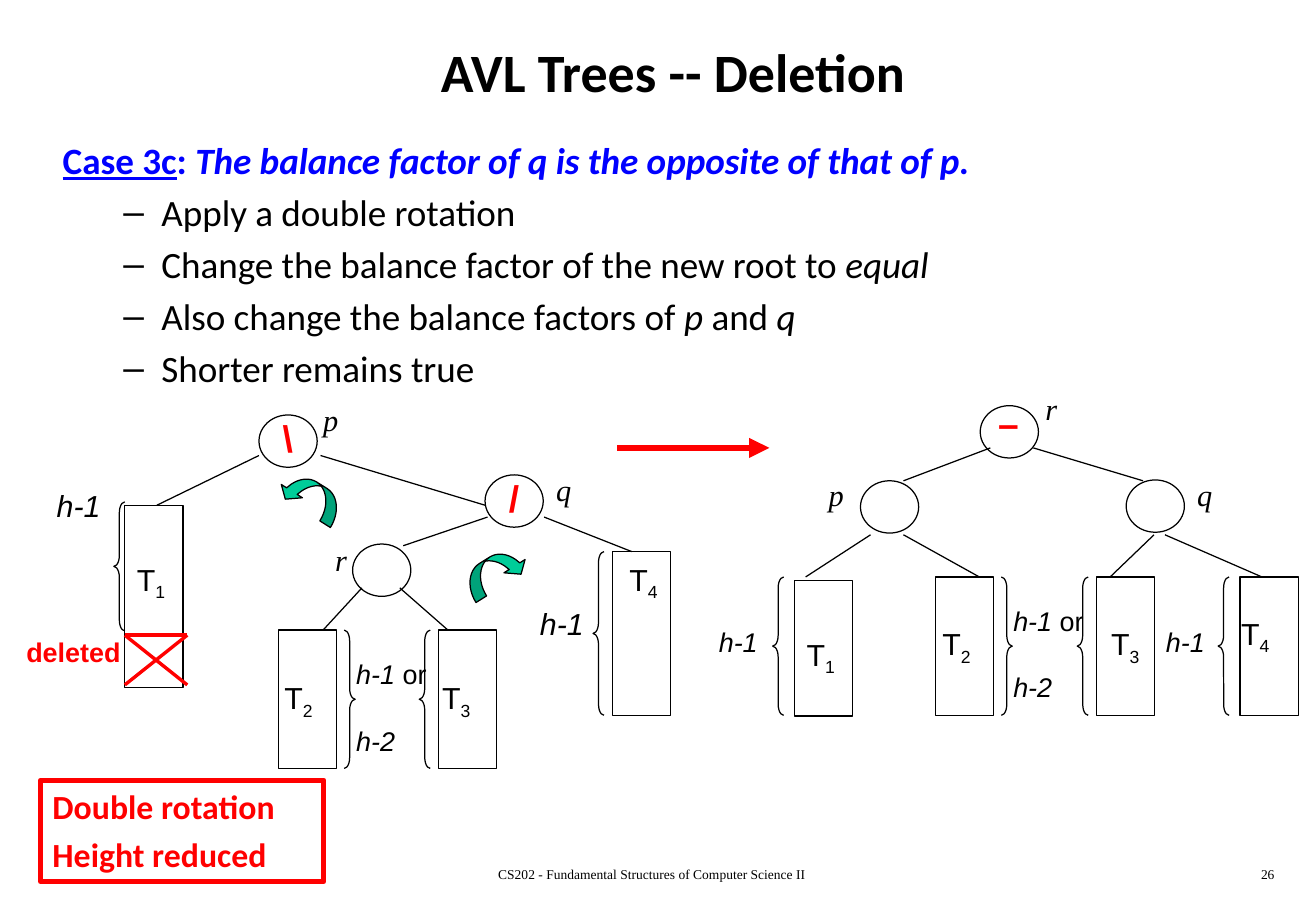
from lxml import etree
from pptx import Presentation
from pptx import util as u
from pptx.dml import color as c
from pptx.enum import shapes as s
from pptx.enum import text as t
from pptx.oxml import ns

BLACK, RED, BLUE, GREEN, WHITE = "000000", "FF0000", "0000FF", "00CC99", "FFFFFF"
NODE_WIDTH, NODE_HEIGHT = 34.5, 31
ITALIC = {"italic": True}
UPRIGHT = {"italic": False}
SUBTREE = {"name": "Arial", "size": u.Pt(18)}
HEIGHT = {"name": "Arial", "size": u.Pt(16), "italic": True}
LABEL = {"name": "Times New Roman", "size": u.Pt(18), "italic": True}
FACTOR = {"name": "Arial", "size": u.Pt(22), "bold": True}
FOOTER = {"name": "Times New Roman", "size": u.Pt(8)}
BODY = {"name": "Calibri", "size": u.Pt(22)}


def rgb(value):
    return c.RGBColor.from_string(value)


def apply(target, values):
    for name, value in values.items():
        setattr(target, name, value)


def place(box, left, top, width, height):
    sides = ("left", "top", "width", "height")
    apply(box, dict(zip(sides, map(u.Pt, (left, top, width, height)))))


def add_span(para, content, values, color=BLACK):
    span = para.add_run()
    span.text = content
    apply(span.font, values)
    span.font.color.rgb = rgb(color)
    return span


def add_label(page, left, top, width, content, values, color=BLACK,
              align=t.PP_ALIGN.LEFT, wrap=False):
    box = page.shapes.add_textbox(*map(u.Pt, (left, top, width, 28)))
    box.text_frame.word_wrap = wrap
    para = box.text_frame.paragraphs[0]
    para.alignment = align
    add_span(para, content, values, color)
    return box


def add_subtree_name(page, left, top, number):
    para = add_label(page, left, top, 50, "T", SUBTREE).text_frame.paragraphs[0]
    digit = add_span(para, str(number), SUBTREE)
    digit._r.get_or_add_rPr().set("baseline", "-25000")


def add_height_choice(page, left, top):
    frame = add_label(page, left, top, 57, "h-1 ", HEIGHT).text_frame
    add_span(frame.paragraphs[0], "or", HEIGHT | UPRIGHT)
    para = frame.add_paragraph()
    para.space_before = u.Pt(20)
    add_span(para, "h-2", HEIGHT)


def add_outline(page, kind, left, top, width, height, fill=None, line=BLACK,
                weight=0.75, adjustments=()):
    shape = page.shapes.add_shape(kind, *map(u.Pt, (left, top, width, height)))
    shape.shadow.inherit = False
    if fill:
        shape.fill.solid()
        shape.fill.fore_color.rgb = rgb(fill)
    else:
        shape.fill.background()
    shape.line.color.rgb = rgb(line)
    shape.line.width = u.Pt(weight)
    for index, value in enumerate(adjustments):
        shape.adjustments[index] = value
    return shape


def add_edge(page, start_x, start_y, end_x, end_y, color=BLACK, weight=0.75, arrow=False):
    edge = page.shapes.add_connector(
        s.MSO_CONNECTOR.STRAIGHT, *map(u.Pt, (start_x, start_y, end_x, end_y)))
    edge.line.color.rgb = rgb(color)
    edge.line.width = u.Pt(weight)
    if arrow:
        etree.SubElement(edge.line._get_or_add_ln(), ns.qn("a:tailEnd"), type="triangle")
    etree.SubElement(edge._element.spPr, ns.qn("a:effectLst"))


def add_rotation_arrow(page, left, top, rotation, flips):
    arrow = add_outline(page, s.MSO_SHAPE.CURVED_LEFT_ARROW, left, top, 18.5, 39,
                        GREEN, adjustments=(0.4, 0.8, 0.33))
    arrow.rotation = rotation
    for flip in flips:
        arrow._element.spPr.xfrm.set(flip, "1")


def set_bullet(para, margin, indent, bullet=None):
    properties = para._p.get_or_add_pPr()
    properties.set("marL", str(u.Pt(margin)))
    properties.set("indent", str(u.Pt(indent)))
    if bullet:
        etree.SubElement(properties, ns.qn("a:buChar"), char=bullet)
    else:
        etree.SubElement(properties, ns.qn("a:buNone"))


def fill_title(page):
    title = page.shapes.title
    place(title, 30, 12, 738, 60.5)
    title.text_frame.vertical_anchor = t.MSO_ANCHOR.MIDDLE
    title.text_frame.auto_size = t.MSO_AUTO_SIZE.NONE
    para = title.text_frame.paragraphs[0]
    para.alignment = t.PP_ALIGN.CENTER
    add_span(para, "AVL Trees -- Deletion",
             {"name": "Calibri", "size": u.Pt(32), "bold": True})


def fill_body(page):
    body = page.placeholders[1]
    place(body, 30, 78, 654, 126)
    frame = body.text_frame
    frame.auto_size = t.MSO_AUTO_SIZE.NONE
    case = frame.paragraphs[0]
    case.space_before = u.Pt(4.4)
    set_bullet(case, 27, -27)
    strong = BODY | {"bold": True}
    add_span(case, "Case 3c", strong | {"underline": True}, BLUE)
    add_span(case, ": ", strong, BLUE)
    add_span(case, "The balance factor of q is the opposite of that of p.", strong | ITALIC, BLUE)
    steps = [
        [("Apply a double rotation", {})],
        [("Change the balance factor of the new root to ", {}), ("equal", ITALIC)],
        [("Also change the balance factors of ", {}), ("p", ITALIC), (" and ", {}), ("q", ITALIC)],
        [("Shorter remains true", {})],
    ]
    for step in steps:
        para = frame.add_paragraph()
        apply(para, {"level": 1, "space_before": u.Pt(4.4)})
        set_bullet(para, 58.5, -22.5, "–")
        for content, values in step:
            add_span(para, content, BODY | values)


def add_result(page):
    box = add_outline(page, s.MSO_SHAPE.RECTANGLE, 24, 462.5, 168, 60, WHITE, RED, 3)
    frame = box.text_frame
    frame.vertical_anchor = t.MSO_ANCHOR.TOP
    for index, content in enumerate(("Double rotation", "Height reduced")):
        para = frame.add_paragraph() if index else frame.paragraphs[0]
        apply(para, {"alignment": t.PP_ALIGN.LEFT, "space_before": u.Pt(4 * index)})
        add_span(para, content, {"name": "Calibri", "size": u.Pt(20), "bold": True}, RED)


def add_tree(page, nodes, subtrees, left_braces, right_brace, edges):
    for left, top, name, name_left, name_top in nodes:
        add_outline(page, s.MSO_SHAPE.OVAL, left, top, NODE_WIDTH, NODE_HEIGHT)
        add_label(page, name_left, name_top, 40, name, LABEL)
    for number, (left, top, height, name_left, name_top) in enumerate(subtrees, 1):
        add_outline(page, s.MSO_SHAPE.RECTANGLE, left, top, NODE_WIDTH, height)
        add_subtree_name(page, name_left, name_top, number)
    braces = [(s.MSO_SHAPE.LEFT_BRACE, *brace) for brace in left_braces]
    braces.append((s.MSO_SHAPE.RIGHT_BRACE, *right_brace))
    for kind, left, top, height in braces:
        add_outline(page, kind, left, top, 6.5, height, adjustments=(1, 0.5))
    for edge in edges:
        add_edge(page, *edge)


def main():
    deck = Presentation()
    apply(deck, {"slide_width": u.Pt(780), "slide_height": u.Pt(540)})
    page = deck.slides.add_slide(deck.slide_layouts[1])
    fill_title(page)
    fill_body(page)
    add_tree(
        page,
        [(153.5, 246, "p", 184.5, 234), (287.5, 281.5, "q", 322.5, 276),
         (209, 322.5, "r", 191.5, 317.5)],
        [(74, 299.5, 108, 74, 329), (165, 373.5, 82, 161.5, 399),
         (260, 373.5, 82, 255, 399), (363, 327, 97, 366, 329)],
        [(67.5, 297.5, 76.5), (248.5, 373.5, 82), (351.5, 327, 97)],
        (204, 373.5, 82),
        [(153.5, 270, 93, 299.5), (190, 270, 287.5, 299.5), (289, 306.5, 239, 323.5),
         (322.5, 306.5, 374.5, 327), (214.5, 348.5, 191.5, 373.5), (237, 348.5, 265.5, 373.5)])
    add_tree(
        page,
        [(581, 240.5, "r", 612.5, 228), (510, 285, "p", 484, 278.5),
         (667.5, 284.5, "q", 702.5, 278.5)],
        [(471, 344, 80.5, 471, 373.5), (554.5, 342, 82, 551.5, 367),
         (650, 342, 82, 651.5, 367), (735, 342, 82, 728.5, 361)],
        [(left, 342, 82) for left in (458, 638.5, 722)],
        (593.5, 342, 82),
        [(587, 265.5, 535.5, 285), (612.5, 265.5, 677.5, 285), (516, 317, 477.5, 342),
         (535.5, 317, 580.5, 342), (684, 317, 658, 342), (690.5, 317, 748, 342)])
    for left, top, sign in ((160.5, 242.5, "\\"), (294.5, 278.5, "/"), (584.5, 234, "–")):
        add_label(page, left, top, 29, sign, FACTOR, RED)
    for left, top, size in ((26.5, 285, 18), (313, 355, 18), (419, 367, 16), (684, 367, 16)):
        add_label(page, left, top, 47, "h-1", HEIGHT | {"size": u.Pt(size)})
    add_height_choice(page, 204, 386.5)
    add_height_choice(page, 593.5, 355)
    add_rotation_arrow(page, 175, 275, 302.2, ["flipV"])
    add_rotation_arrow(page, 284.5, 319.5, 57.8, ["flipH", "flipV"])
    add_edge(page, 366, 265.5, 456, 265.5, RED, 4, True)
    for start_y, end_y in ((376.5, 376.5), (376.5, 406), (406, 376.5)):
        add_edge(page, 74, start_y, 111, end_y, RED, 2)
    add_label(page, 8.5, 373.5, 90, "deleted", FACTOR | {"size": u.Pt(16)}, RED)
    add_result(page)
    add_label(page, 240.5, 510, 292, "CS202 - Fundamental Structures of Computer Science II",
              FOOTER, align=t.PP_ALIGN.CENTER, wrap=True)
    add_label(page, 600, 510, 162.5, "26", FOOTER, align=t.PP_ALIGN.RIGHT, wrap=True)
    deck.save("out.pptx")


main()
